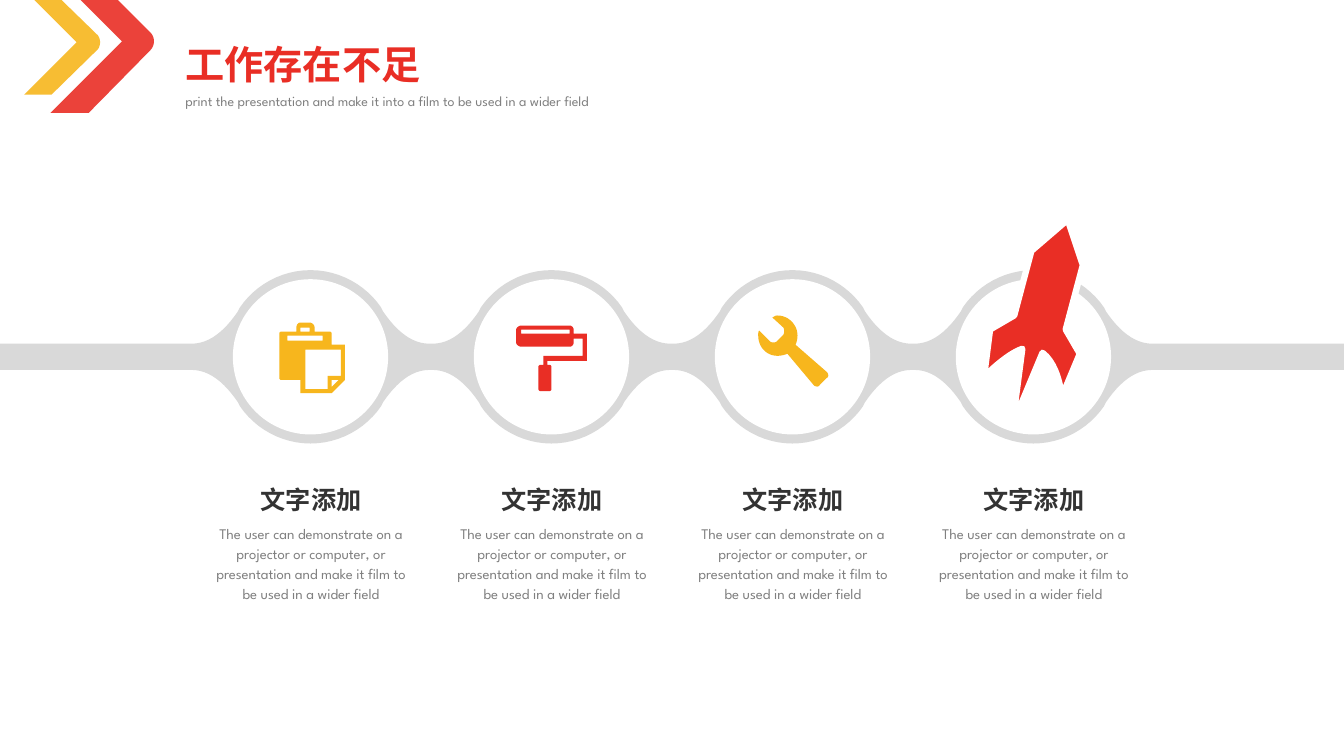
import lxml.etree
import pptx
import pptx.dml.color
import pptx.enum.shapes
import pptx.enum.text
import pptx.oxml.ns
import pptx.util

Inches = pptx.util.Inches
RGBColor = pptx.dml.color.RGBColor
PP_ALIGN = pptx.enum.text.PP_ALIGN

RED = RGBColor(0xE9, 0x2E, 0x25)
YELLOW = RGBColor(0xF7, 0xB6, 0x1D)
BAND_GREY = RGBColor(0xD9, 0xD9, 0xD9)
TEXT_GREY = RGBColor(0x80, 0x80, 0x80)
DARK = RGBColor(0x33, 0x33, 0x33)
WHITE = RGBColor(0xFF, 0xFF, 0xFF)
FONT = "League Spartan"

SLIDE_WIDTH, SLIDE_HEIGHT = 13.33, 7.5
STEP_CENTERS = [3.08 + 2.39 * step for step in range(4)]
AXIS_Y = 3.54
DISC_RADIUS = 0.77
BAND_HALF = 0.13

# Contours in inches: a pair is a line end, six numbers are a cubic curve.
RED_CHEVRON = [[(0.5, 1.12), (0.88, 1.12), (1.49, 0.5),
                (1.54, 0.45, 1.54, 0.37, 1.49, 0.32),
                (1.17, 0), (0.8, 0), (1.21, 0.41)]]
YELLOW_CHEVRON = [[(0.24, 0.94), (0.51, 0.94), (0.97, 0.49),
                   (1, 0.45, 1, 0.39, 0.97, 0.35),
                   (0.61, 0), (0.34, 0), (0.76, 0.42)]]
CLIPBOARD = [
    [(3.29, 3.42), (3.29, 3.31), (3.29, 3.3, 3.28, 3.29, 3.27, 3.29),
     (3.12, 3.29), (3.12, 3.25), (3.12, 3.22, 3.09, 3.2, 3.07, 3.2),
     (2.98, 3.2), (2.96, 3.2, 2.94, 3.22, 2.94, 3.25), (2.94, 3.29),
     (2.79, 3.29), (2.78, 3.29, 2.77, 3.3, 2.77, 3.31), (2.77, 3.75),
     (2.77, 3.76, 2.78, 3.77, 2.79, 3.77), (2.98, 3.77), (2.98, 3.9),
     (3.29, 3.9), (3.42, 3.77), (3.42, 3.42)],
    [(2.98, 3.25), (3.07, 3.25), (3.07, 3.29), (2.98, 3.29)],
    [(2.85, 3.38), (2.85, 3.33), (3.2, 3.33), (3.2, 3.38)],
    [(3.29, 3.84), (3.29, 3.77), (3.36, 3.77)],
    [(3.38, 3.73), (3.25, 3.73), (3.25, 3.86), (3.03, 3.86),
     (3.03, 3.47), (3.38, 3.47)],
]
PAINT_ROLLER = [
    [(5.82, 3.58), (5.82, 3.31), (5.69, 3.31), (5.69, 3.27),
     (5.69, 3.25, 5.67, 3.23, 5.65, 3.23), (5.17, 3.23),
     (5.15, 3.23, 5.12, 3.25, 5.12, 3.27), (5.12, 3.4),
     (5.12, 3.42, 5.15, 3.44, 5.17, 3.44), (5.65, 3.44),
     (5.67, 3.44, 5.69, 3.42, 5.69, 3.4), (5.69, 3.36), (5.78, 3.36),
     (5.78, 3.53), (5.39, 3.53), (5.39, 3.62), (5.36, 3.62),
     (5.35, 3.62, 5.34, 3.63, 5.34, 3.64), (5.34, 3.86),
     (5.34, 3.87, 5.35, 3.88, 5.36, 3.88), (5.45, 3.88),
     (5.46, 3.88, 5.47, 3.87, 5.47, 3.86), (5.47, 3.64),
     (5.47, 3.63, 5.46, 3.62, 5.45, 3.62), (5.43, 3.62), (5.43, 3.58)],
    [(5.65, 3.31), (5.17, 3.31), (5.17, 3.27), (5.65, 3.27)],
]
WRENCH = [[(8.2, 3.69), (7.89, 3.42), (7.9, 3.4, 7.91, 3.36, 7.91, 3.33),
           (7.91, 3.22, 7.82, 3.13, 7.71, 3.13),
           (7.69, 3.13, 7.68, 3.14, 7.66, 3.15), (7.77, 3.25),
           (7.78, 3.27, 7.78, 3.3, 7.77, 3.32), (7.7, 3.39),
           (7.69, 3.4, 7.65, 3.4, 7.64, 3.39), (7.53, 3.28),
           (7.52, 3.29, 7.52, 3.31, 7.52, 3.33),
           (7.52, 3.44, 7.6, 3.53, 7.71, 3.53),
           (7.75, 3.53, 7.78, 3.52, 7.81, 3.51), (8.07, 3.82),
           (8.09, 3.84, 8.12, 3.84, 8.13, 3.82), (8.2, 3.75),
           (8.22, 3.74, 8.22, 3.71, 8.2, 3.69)]]
ROCKET = [[(10.23, 2.49), (10.06, 3.13), (9.82, 3.27), (9.76, 3.74),
           (9.76, 3.74, 9.97, 3.52, 10.14, 3.46), (10.04, 4.22),
           (10.34, 3.5), (10.51, 3.63, 10.53, 3.94, 10.53, 3.94),
           (10.71, 3.51), (10.57, 3.27), (10.74, 2.63), (10.59, 2.18)]]
# Upper left quarter of the band around one step, relative to its centre.
BAND_QUARTER = [(-1.18, -0.13), (-1, -0.13, -0.85, -0.26, -0.72, -0.45),
                (-0.7, -0.49), (-0.55, -0.71, -0.29, -0.86, 0, -0.86)]

TITLE = "工作存在不足"
SUBTITLE = ("print the presentation and make it into a film "
            "to be used in a wider field")
STEP_TITLE = "文字添加"
STEP_DETAIL = ("The user can demonstrate on a projector or computer, or "
               "presentation and make it film to be used in a wider field")


def flatten(contour, pieces=12):
    """Return the contour as points, with its curves sampled."""
    points = []
    for node in contour:
        if len(node) == 2:
            points.append(node)
            continue
        start, controls = points[-1], (node[:2], node[2:4], node[4:])
        for piece in range(1, pieces + 1):
            t = piece / pieces
            weights = ((1 - t) ** 3, 3 * t * (1 - t) ** 2,
                       3 * t * t * (1 - t), t ** 3)
            points.append(tuple(
                sum(w * p[axis] for w, p in zip(weights, (start, *controls)))
                for axis in (0, 1)))
    return points


def paint(shape, color):
    """Give a shape a plain fill without outline or shadow."""
    shape.shadow.inherit = False
    shape.fill.solid()
    shape.fill.fore_color.rgb = color
    shape.line.fill.background()


def add_outline(slide, contours, color):
    """Draw contours as one filled freeform."""
    builder = None
    for contour in contours:
        points = [(Inches(x), Inches(y)) for x, y in flatten(contour)]
        if builder is None:
            builder = slide.shapes.build_freeform(*points[0])
        else:
            builder.move_to(*points[0])
        builder.add_line_segments(points[1:], close=True)
    outline = builder.convert_to_shape()
    paint(outline, color)
    return outline


def set_opacity(shape, percent):
    """Make a solid fill partly transparent."""
    qn = pptx.oxml.ns.qn
    color = shape._element.spPr.find(qn("a:solidFill"))[0]
    lxml.etree.SubElement(color, qn("a:alpha"), val=str(percent * 1000))


def add_band(slide):
    """Draw the grey band that swells around every step."""
    quarter = flatten(BAND_QUARTER)
    bump = quarter + [(-x, y) for x, y in reversed(quarter[:-1])]
    top = [(0, AXIS_Y - BAND_HALF)]
    top += [(center + x, AXIS_Y + y) for center in STEP_CENTERS for x, y in bump]
    top.append((SLIDE_WIDTH, AXIS_Y - BAND_HALF))
    bottom = [(x, 2 * AXIS_Y - y) for x, y in reversed(top)]
    add_outline(slide, [top + bottom], BAND_GREY)


def add_disc(slide, center):
    """Draw the white disc of one step."""
    disc = slide.shapes.add_shape(
        pptx.enum.shapes.MSO_SHAPE.OVAL,
        Inches(center - DISC_RADIUS), Inches(AXIS_Y - DISC_RADIUS),
        Inches(2 * DISC_RADIUS), Inches(2 * DISC_RADIUS))
    paint(disc, WHITE)


def write(holder, text, size, color, bold=False, align=PP_ALIGN.LEFT, spacing=1.0):
    """Fill a text holder with one formatted run."""
    frame = holder.text_frame
    frame.word_wrap = True
    frame.auto_size = pptx.enum.text.MSO_AUTO_SIZE.NONE
    frame.vertical_anchor = pptx.enum.text.MSO_ANCHOR.TOP
    paragraph = frame.paragraphs[0]
    paragraph.alignment = align
    paragraph.line_spacing = spacing
    run = paragraph.add_run()
    run.text = text
    run.font.name = FONT
    run.font.size = pptx.util.Pt(size)
    run.font.bold = bold
    run.font.color.rgb = color


def add_text(slide, left, top, width, height, *content, **style):
    """Add a text box, with its place in inches."""
    box = slide.shapes.add_textbox(*map(Inches, (left, top, width, height)))
    write(box, *content, **style)


def add_header(slide):
    """Add the chevrons, the title and the subtitle."""
    for chevron, color in ((RED_CHEVRON, RED), (YELLOW_CHEVRON, YELLOW)):
        set_opacity(add_outline(slide, chevron, color), 90)
    title = slide.shapes.title
    title.left, title.top = Inches(1.74), Inches(0.35)
    title.width, title.height = Inches(4.59), Inches(0.57)
    write(title, TITLE, 28, RED, bold=True)
    add_text(slide, 1.74, 0.87, 6.05, 0.27, SUBTITLE, 10, TEXT_GREY)


def main():
    """Build and save the slide."""
    deck = pptx.Presentation()
    deck.slide_width, deck.slide_height = Inches(SLIDE_WIDTH), Inches(SLIDE_HEIGHT)
    slide = deck.slides.add_slide(deck.slide_layouts[5])
    add_band(slide)
    for center in STEP_CENTERS:
        add_disc(slide, center)
    for icon, color in ((PAINT_ROLLER, RED), (CLIPBOARD, YELLOW), (WRENCH, YELLOW)):
        add_outline(slide, icon, color)
    rocket = add_outline(slide, ROCKET, RED)
    rocket.line.color.rgb = WHITE
    rocket.line.width = pptx.util.Pt(4.5)
    add_header(slide)
    for center in STEP_CENTERS:
        add_text(slide, center - 1.16, 4.76, 2.33, 0.4, STEP_TITLE, 18, DARK,
                 bold=True, align=PP_ALIGN.CENTER)
        add_text(slide, center - 1.04, 5.13, 2.09, 1.09, STEP_DETAIL, 10.5,
                 TEXT_GREY, align=PP_ALIGN.CENTER, spacing=1.14)
    deck.save("out.pptx")


main()
